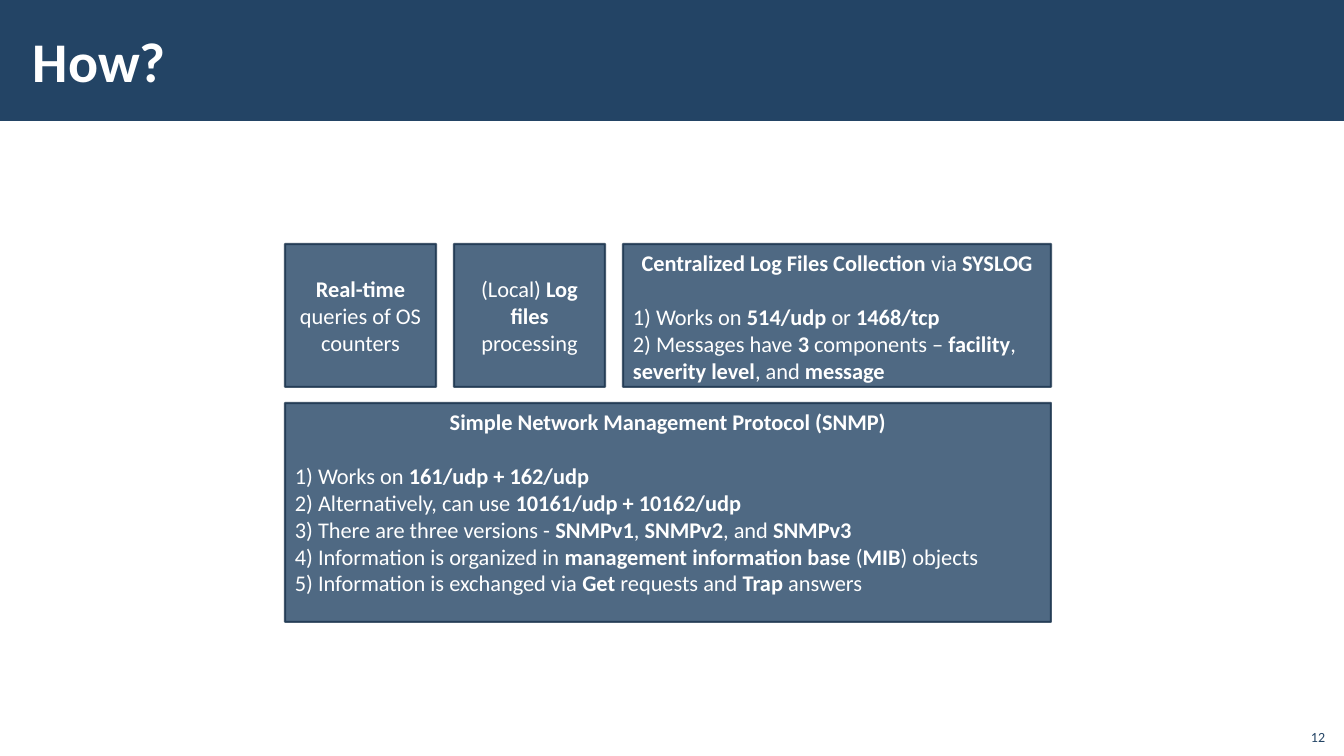
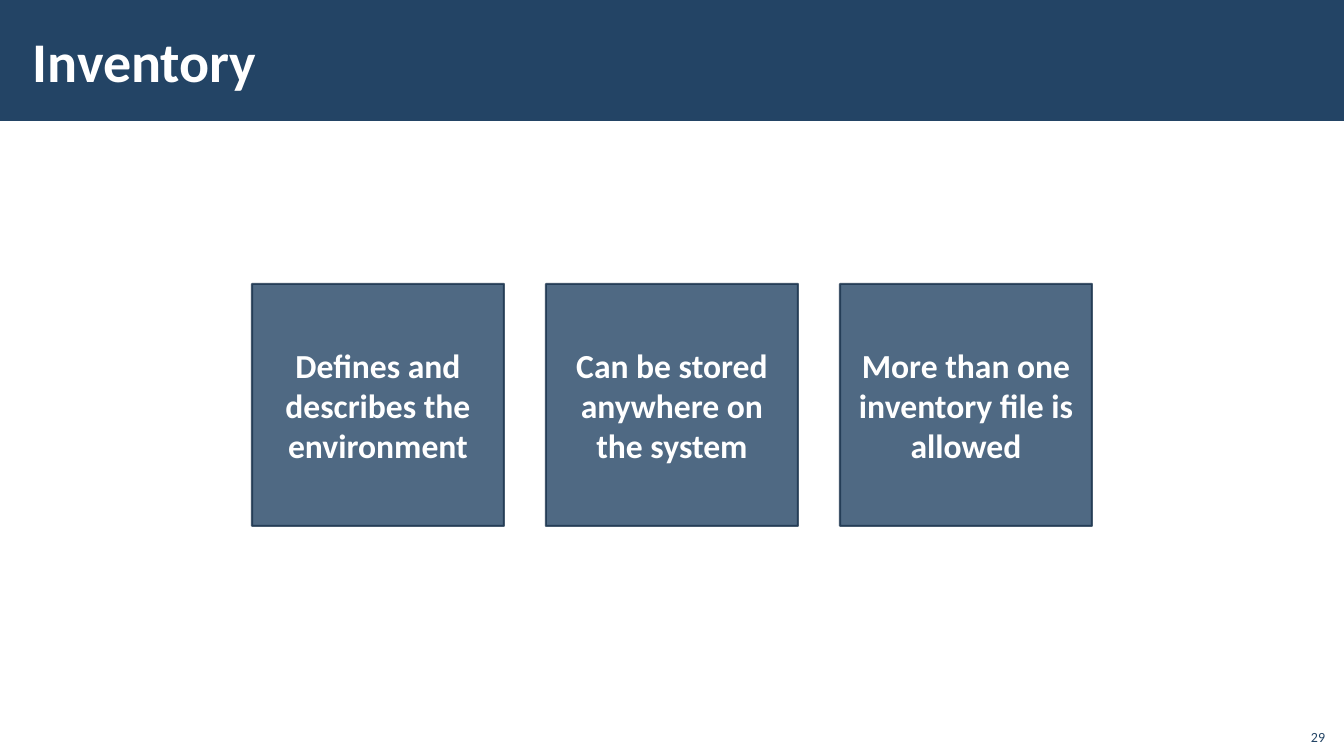
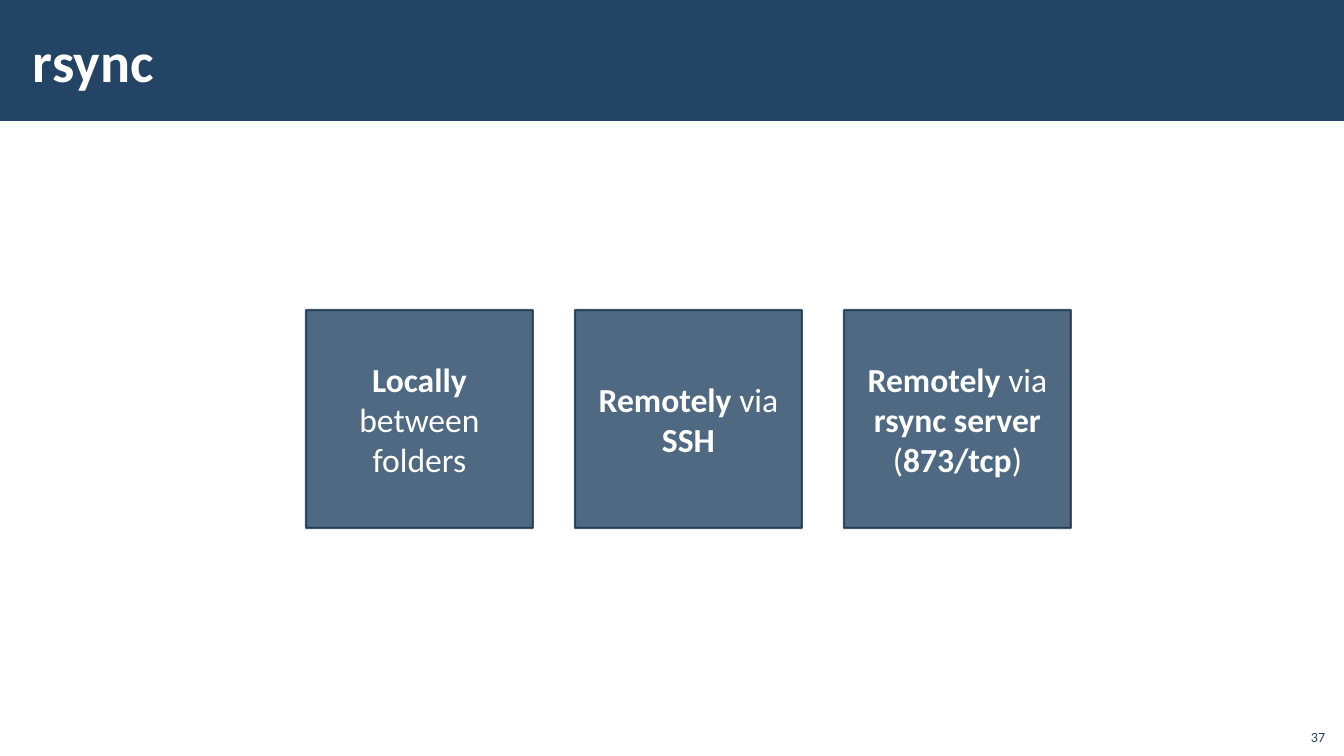
from dataclasses import dataclass

from lxml.etree import SubElement
from pptx import Presentation
from pptx.dml.color import RGBColor
from pptx.enum.shapes import MSO_SHAPE
from pptx.enum.text import MSO_ANCHOR, MSO_AUTO_SIZE, PP_ALIGN
from pptx.oxml.ns import qn
from pptx.util import Pt

PX = 914400 / 100.8  # EMU in one px


@dataclass(frozen=True)
class Theme:
    font: str = "Calibri"
    navy: RGBColor = RGBColor(0x23, 0x44, 0x65)
    edge: RGBColor = RGBColor(0x1A, 0x33, 0x4C)
    white: RGBColor = RGBColor(0xFF, 0xFF, 0xFF)
    opacity: int = 80
    title: int = 40
    card: int = 24
    detail: int = 16
    number: int = 10
    heading_gap: float = 19.5


THEME = Theme()


def write(p, text, size, color, align):
    """Fill a paragraph; parts between ** marks are bold."""
    p.alignment = align
    for i, part in enumerate(text.split("**")):
        if part:
            r = p.add_run()
            r.text = part
            r.font.name = THEME.font
            r.font.size = Pt(size)
            r.font.bold = i % 2 == 1
            r.font.color.rgb = color


def add_box(slide, box, lines, size, is_list=False):
    """Add a translucent box; a list has a centred heading over left-aligned lines."""
    sp = slide.shapes.add_shape(MSO_SHAPE.RECTANGLE, *(round(v * PX) for v in box))
    sp.shadow.inherit = False
    sp.fill.solid()
    sp.fill.fore_color.rgb = THEME.navy
    sp.line.color.rgb = THEME.edge
    sp.line.width = Pt(1.5)
    for clr in sp.element.spPr.iter(qn("a:srgbClr")):
        SubElement(clr, qn("a:alpha"), val=str(THEME.opacity * 1000))
    tf = sp.text_frame
    tf.word_wrap = True
    tf.vertical_anchor = MSO_ANCHOR.TOP if is_list else MSO_ANCHOR.MIDDLE
    for i, line in enumerate(lines):
        p = tf.add_paragraph() if i else tf.paragraphs[0]
        write(p, line, size, THEME.white, PP_ALIGN.LEFT if is_list and i else PP_ALIGN.CENTER)
    if is_list:
        tf.paragraphs[0].space_after = Pt(THEME.heading_gap)


prs = Presentation()
prs.slide_width = round(1344 * PX)
prs.slide_height = round(756 * PX)
layout = prs.slide_layouts[5]

# Shared slide frame: title, band and page number
title = layout.placeholders[0]
title.left, title.top, title.width, title.height = (round(v * PX) for v in (21, 11, 1072, 98))
slides = []
for heading, number in (("How?", "12"), ("Inventory", "29"), ("rsync", "37")):
    slide = prs.slides.add_slide(layout)
    slides.append(slide)
    tf = slide.shapes.title.text_frame
    tf.auto_size = MSO_AUTO_SIZE.NONE
    tf.vertical_anchor = MSO_ANCHOR.MIDDLE
    tf.margin_left = tf.margin_right = round(12 * PX)
    tf.margin_top = tf.margin_bottom = round(4 * PX)
    write(tf.paragraphs[0], f"**{heading}**", THEME.title, THEME.white, PP_ALIGN.LEFT)

    sp = slide.shapes.add_textbox(*(round(v * PX) for v in (1295, 718, 40, 32)))
    tf = sp.text_frame
    tf.word_wrap = True
    tf.vertical_anchor = MSO_ANCHOR.BOTTOM
    write(tf.paragraphs[0], number, THEME.number, THEME.navy, PP_ALIGN.RIGHT)

how, inventory, rsync = slides

# The band is moved to the layout, behind its title
band = how.shapes.add_shape(MSO_SHAPE.RECTANGLE, 0, 0, prs.slide_width, round(121 * PX))
band.shadow.inherit = False
band.fill.solid()
band.fill.fore_color.rgb = THEME.navy
band.line.fill.background()
title.element.addprevious(band.element)

# How?
left, top, width, height, gap = 285, 244, 151, 143, 18
pitch = width + gap
sources = ["**Real-time** queries of OS counters", "(Local) **Log files** processing"]
for i, text in enumerate(sources):
    add_box(how, (left + i * pitch, top, width, height), [text], THEME.detail)

full_width = 766
syslog = [
    "**Centralized Log Files Collection **via** SYSLOG**",
    "1) Works on **514/udp **or **1468/tcp**",
    "2) Messages have **3** components – **facility**, **severity level**, and **message**",
]
add_box(how, (left + 2 * pitch, top, full_width - 2 * pitch, height), syslog, THEME.detail, True)

snmp = [
    "**Simple Network Management Protocol (SNMP)**",
    "1) Works on **161/udp + 162/udp**",
    "2) Alternatively, can use **10161/udp + 10162/udp**",
    "3) There are three versions - **SNMPv1**, **SNMPv2**, and **SNMPv3**",
    "4) Information is organized in **management information base **(**MIB**) objects",
    "5) Information is exchanged via **Get** requests and **Trap **answers",
]
add_box(how, (left, 403, full_width, 219), snmp, THEME.detail, True)

# Inventory and rsync: a row of three cards each
rows = [
    (inventory, (252, 284, 252, 242), [
        ["**Defines and describes the environment**"],
        ["**Can be stored anywhere on the system**"],
        ["**More than one inventory file is allowed**"],
    ]),
    (rsync, (306, 310, 227, 218), [
        ["**Locally **between folders"],
        ["**Remotely** via **SSH**"],
        ["**Remotely** via **rsync server**", "(**873/tcp**)"],
    ]),
]
card_gap = 42
for slide, (left, top, width, height), cards in rows:
    for i, lines in enumerate(cards):
        add_box(slide, (left + i * (width + card_gap), top, width, height), lines, THEME.card)

prs.save("out.pptx")
